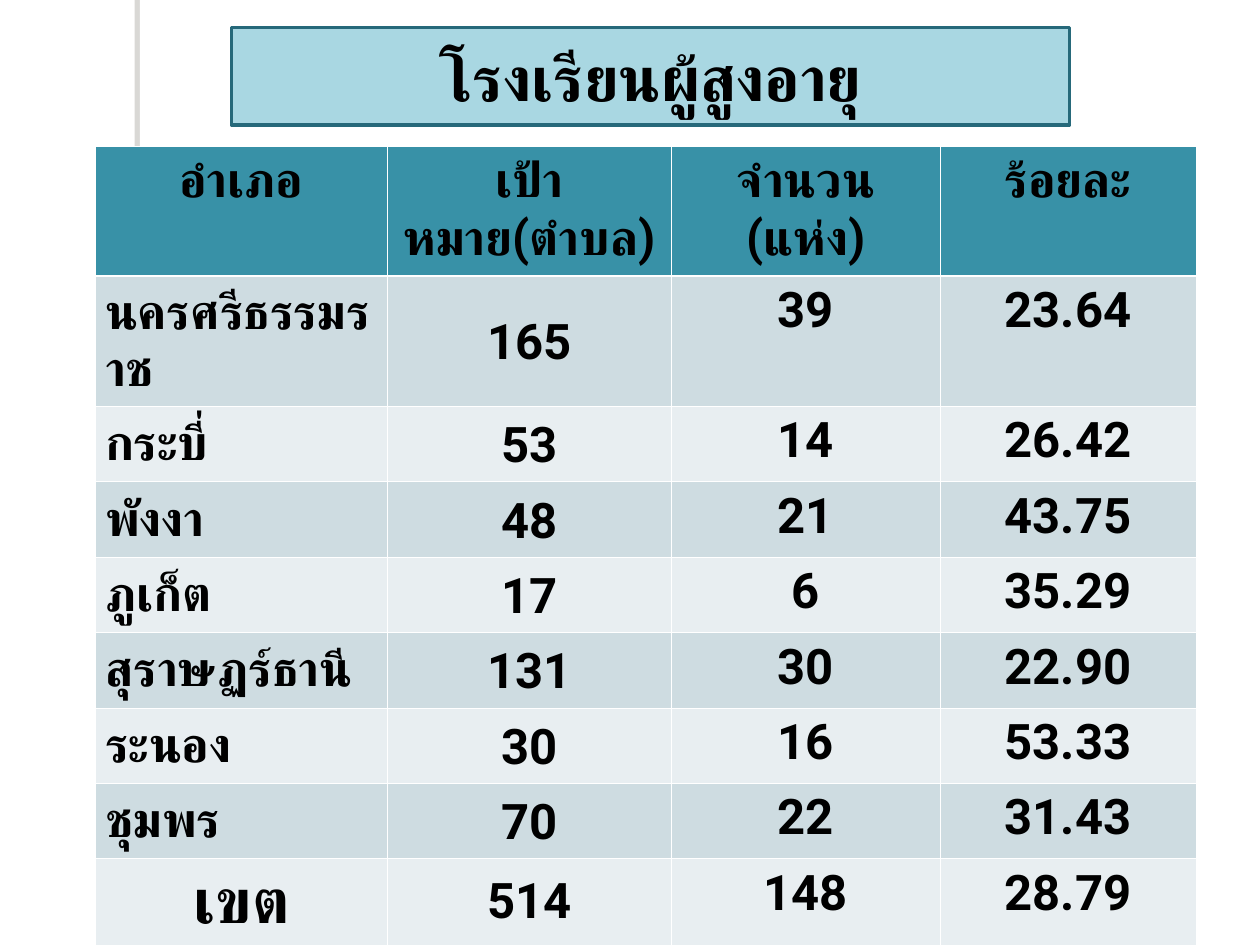
from lxml import etree
from pptx import Presentation
from pptx.dml.color import RGBColor
from pptx.enum.shapes import MSO_SHAPE
from pptx.enum.text import MSO_ANCHOR, PP_ALIGN
from pptx.oxml import parse_xml
from pptx.oxml.ns import qn
from pptx.util import Cm, Pt

RECT = MSO_SHAPE.RECTANGLE
MID, TOP = MSO_ANCHOR.MIDDLE, MSO_ANCHOR.TOP
LEFT, MIDDLE = PP_ALIGN.LEFT, PP_ALIGN.CENTER

BLACK = RGBColor(0x00, 0x00, 0x00)
WHITE = RGBColor(0xFF, 0xFF, 0xFF)
SKY = RGBColor(0xA9, 0xD7, 0xE2)
EDGE = RGBColor(0x26, 0x69, 0x7A)
TEAL = RGBColor(0x38, 0x91, 0xA7)
BANDS = [RGBColor(0xCE, 0xDC, 0xE1), RGBColor(0xE8, 0xEE, 0xF1)]

NS = "http://schemas.openxmlformats.org/drawingml/2006/main"

# Content
TITLE = "โรงเรียนผู้สูงอายุ"
ROWS = [
    ("อำเภอ", "เป้าหมาย(ตำบล)", "จำนวน (แห่ง)", "ร้อยละ"),
    ("นครศรีธรรมราช", "165", "39", "23.64"),
    ("กระบี่", "53", "14", "26.42"),
    ("พังงา", "48", "21", "43.75"),
    ("ภูเก็ต", "17", "6", "35.29"),
    ("สุราษฏร์ธานี", "131", "30", "22.90"),
    ("ระนอง", "30", "16", "53.33"),
    ("ชุมพร", "70", "22", "31.43"),
    ("เขต", "514", "148", "28.79"),
]
WIDTHS = [5.87, 5.74, 5.41, 5.16]
HEIGHTS = [2.62, 2.62] + [1.52] * 6 + [1.7]


def write(frame, text, size, font, align):
    para = frame.paragraphs[0]
    para.alignment = align
    run = para.add_run()
    run.text = text
    run.font.size = Pt(size)
    run.font.bold = True
    run.font.name = font
    run.font.color.rgb = BLACK
    # Thai letters take the complex-script font
    thai = etree.SubElement(run.font._element, qn("a:cs"))
    thai.set("typeface", font)
    return para


def add_box(slide, left, top, width, height, color):
    box = slide.shapes.add_shape(RECT, Cm(left), Cm(top), Cm(width), Cm(height))
    box.shadow.inherit = False
    box.fill.solid()
    box.fill.fore_color.rgb = color
    box.line.fill.background()
    return box


def add_edges(cell, row):
    # Thin white rules, thicker under the header
    props = cell._tc.get_or_add_tcPr()
    thick = {"lnB": row == 0, "lnT": row == 1}
    for i, tag in enumerate(("lnL", "lnR", "lnT", "lnB")):
        width = Pt(1.47 if thick.get(tag) else 0.45)
        props.insert(i, parse_xml(
            f'<a:{tag} xmlns:a="{NS}" w="{width}"><a:solidFill>'
            f'<a:srgbClr val="{WHITE}"/></a:solidFill></a:{tag}>'))


deck = Presentation()
deck.slide_width, deck.slide_height = Cm(25.4), Cm(19.05)
slide = deck.slides.add_slide(deck.slide_layouts[6])

# Side strip with a shadow to its left
strip = add_box(slide, 2.82, 0, 0.2, 19.05, WHITE)
effects = strip._element.spPr.find(qn("a:effectLst"))
effects.append(parse_xml(
    f'<a:outerShdw xmlns:a="{NS}" blurRad="0" dist="{Pt(3)}" dir="10800000" '
    'algn="ctr" rotWithShape="0"><a:srgbClr val="706B5F">'
    '<a:alpha val="25000"/></a:srgbClr></a:outerShdw>'))

# Title
head = add_box(slide, 4.67, 0.56, 16.89, 1.96, SKY)
head.line.color.rgb = EDGE
head.line.width = Pt(2)
head.text_frame.word_wrap = True
head.text_frame.vertical_anchor = MID
write(head.text_frame, TITLE, 36, "Arial", MIDDLE)

# Table
table = slide.shapes.add_table(
    len(ROWS), len(WIDTHS), Cm(1.93), Cm(2.95),
    Cm(sum(WIDTHS)), Cm(sum(HEIGHTS))).table
for column, width in zip(table.columns, WIDTHS):
    column.width = Cm(width)
for line, height in zip(table.rows, HEIGHTS):
    line.height = Cm(height)

last = len(ROWS) - 1
for r, row in enumerate(ROWS):
    for c, text in enumerate(row):
        cell = table.cell(r, c)
        body = 0 < r < last
        inner = r > 0 and c < 2
        cell.vertical_anchor = MID if inner else TOP
        if inner:
            cell.margin_left = cell.margin_right = Cm(0.19)
        cell.fill.solid()
        cell.fill.fore_color.rgb = BANDS[(r - 1) % 2] if r else TEAL
        add_edges(cell, r)
        size = 36 if (r, c) == (last, 0) else 28
        align = LEFT if body and c == 0 else MIDDLE
        para = write(cell.text_frame, text, size, "Roboto", align)
        if body and c == 1:
            para.line_spacing = 1.07

deck.save("out.pptx")
